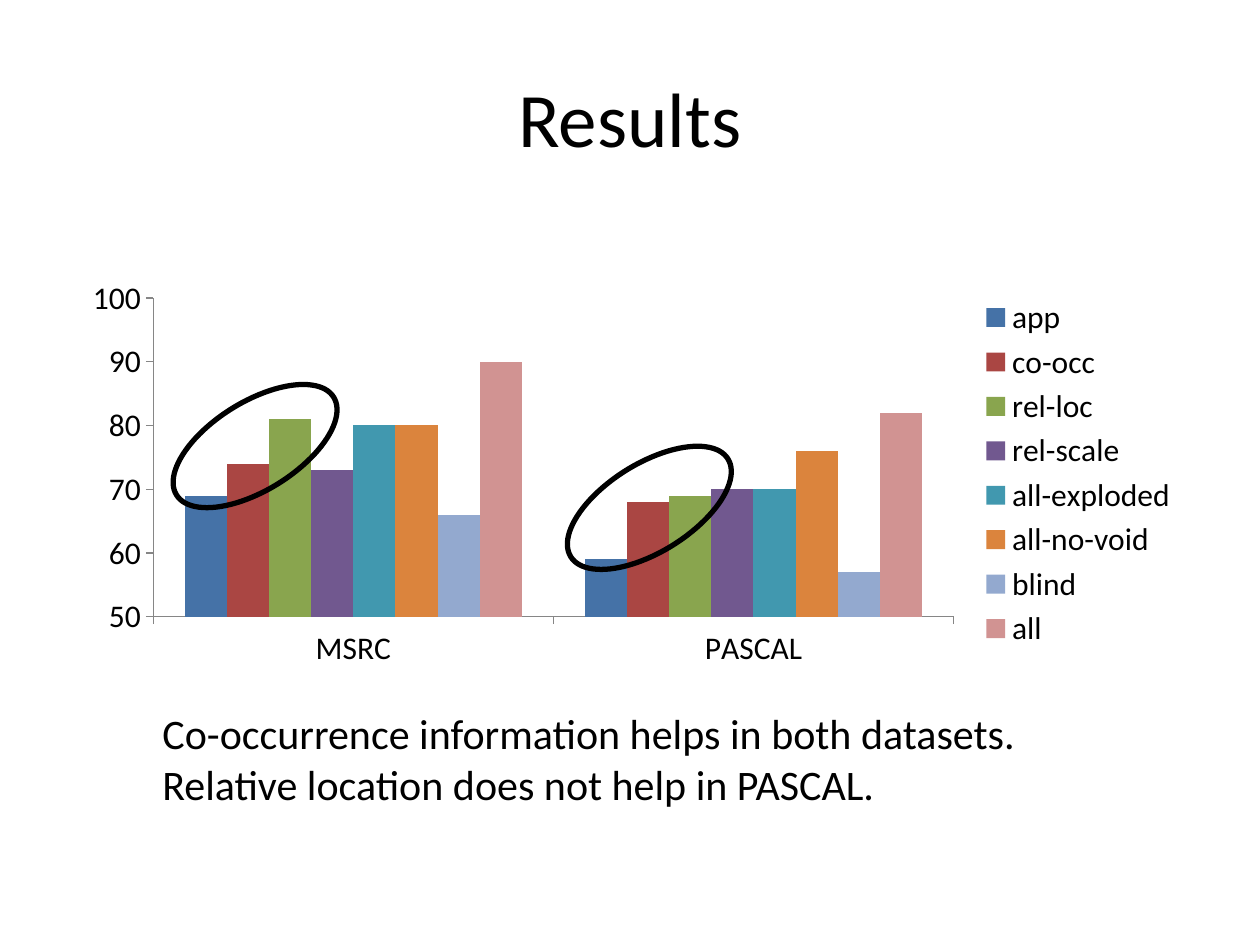
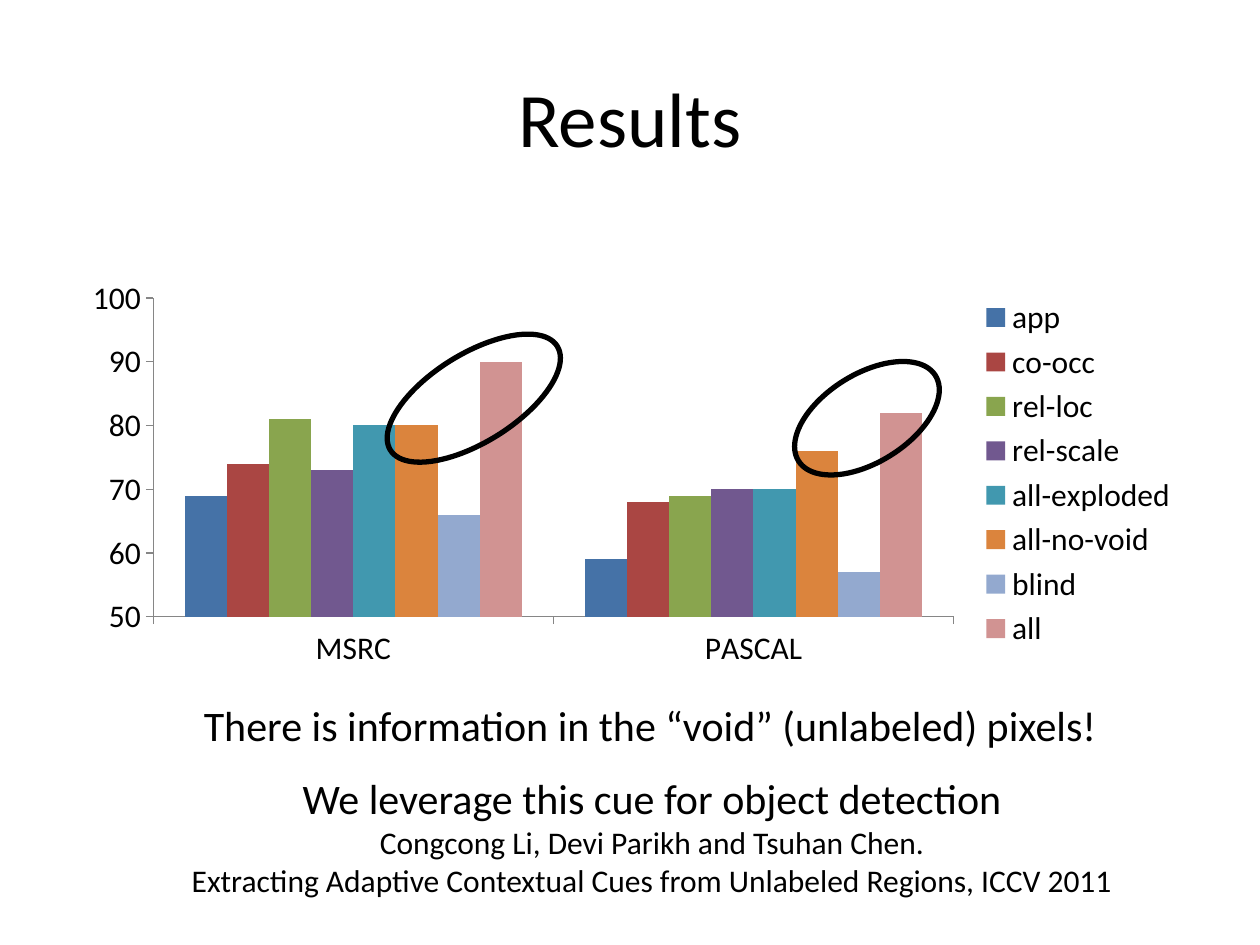
from dataclasses import dataclass

from pptx import Presentation
from pptx import util as u
from pptx.chart import data as chart_data
from pptx.dml import color
from pptx.enum import chart as charts, shapes, text


@dataclass(frozen=True)
class Theme:
    font: str = "Calibri"
    ink: str = "000000"
    grid: str = "FFFFFF"
    axis: str = "868686"
    title_size: float = 44
    body_size: float = 24
    small_size: float = 18
    ring_width: float = 3
    axis_width: float = 0.75


@dataclass(frozen=True)
class Box:
    left: float
    top: float
    width: float
    height: float

    def lengths(self) -> tuple:
        return tuple(u.Pt(n) for n in (self.left, self.top, self.width, self.height))


@dataclass(frozen=True)
class Method:
    name: str
    scores: tuple
    fill: str


@dataclass(frozen=True)
class Line:
    words: str
    size: float


@dataclass(frozen=True)
class Remark:
    box: Box
    lines: tuple
    align: text.PP_ALIGN


@dataclass(frozen=True)
class Page:
    rings: tuple
    remarks: tuple


THEME = Theme()
TITLE_BOX = Box(36, 21.6, 648, 90)
CHART_BOX = Box(40.3, 154.8, 640.1, 231.1)
RING_HEIGHT = 50.4
RING_TILT = 328.1
DATASETS = ("MSRC", "PASCAL")
METHODS = (
    Method("app", (69, 59), "4572A7"),
    Method("co-occ", (74, 68), "AA4643"),
    Method("rel-loc", (81, 69), "89A54E"),
    Method("rel-scale", (73, 70), "71588F"),
    Method("all-exploded", (80, 70), "4198AF"),
    Method("all-no-void", (80, 76), "DB843D"),
    Method("blind", (66, 57), "93A9CF"),
    Method("all", (90, 82), "D19392"),
)
PAGES = (
    Page(
        rings=(Box(92.9, 229.7, 105.8, RING_HEIGHT), Box(318.2, 265, 105.8, RING_HEIGHT)),
        remarks=(
            Remark(
                Box(85.7, 401, 596.2, 65.5),
                (
                    Line("Co-occurrence information helps in both datasets.", THEME.body_size),
                    Line("Relative location does not help in PASCAL.", THEME.body_size),
                ),
                text.PP_ALIGN.LEFT,
            ),
        ),
    ),
    Page(
        rings=(Box(214.6, 202.3, 112.3, RING_HEIGHT), Box(449.3, 213.8, 92.2, RING_HEIGHT)),
        remarks=(
            Remark(
                Box(61.2, 396, 620.6, 36),
                (Line("There is information in the “void” (unlabeled) pixels!", THEME.body_size),),
                text.PP_ALIGN.CENTER,
            ),
            Remark(
                Box(61.2, 437.8, 622.8, 79.9),
                (
                    Line("We leverage this cue for object detection", THEME.body_size),
                    Line("Congcong Li, Devi Parikh and Tsuhan Chen.", THEME.small_size),
                    Line(
                        "Extracting Adaptive Contextual Cues from Unlabeled Regions, ICCV 2011",
                        THEME.small_size,
                    ),
                ),
                text.PP_ALIGN.CENTER,
            ),
        ),
    ),
)


def assign(target, values: dict) -> None:
    for key, value in values.items():
        setattr(target, key, value)


def style_font(font, size: float) -> None:
    assign(font, {"name": THEME.font, "size": u.Pt(size), "bold": False})
    font.color.rgb = color.RGBColor.from_string(THEME.ink)


def style_line(line, rgb: str, width: float) -> None:
    line.color.rgb = color.RGBColor.from_string(rgb)
    line.width = u.Pt(width)


def write_title(slide, words: str) -> None:
    title = slide.shapes.title
    assign(title, dict(zip(("left", "top", "width", "height"), TITLE_BOX.lengths())))
    title.text_frame.text = words
    title.text_frame.vertical_anchor = text.MSO_ANCHOR.MIDDLE
    heading = title.text_frame.paragraphs[0]
    heading.alignment = text.PP_ALIGN.CENTER
    style_font(heading.font, THEME.title_size)


def draw_scores(slide) -> None:
    scores = chart_data.CategoryChartData()
    scores.categories = DATASETS
    for method in METHODS:
        scores.add_series(method.name, method.scores)
    chart = slide.shapes.add_chart(
        charts.XL_CHART_TYPE.COLUMN_CLUSTERED, *CHART_BOX.lengths(), scores
    ).chart
    style_font(chart.font, THEME.small_size)
    assign(chart, {"has_title": False, "has_legend": True})
    assign(
        chart.legend,
        {"position": charts.XL_LEGEND_POSITION.RIGHT, "include_in_layout": False},
    )
    style_font(chart.legend.font, THEME.small_size)
    assign(chart.plots[0], {"gap_width": 150, "overlap": 0, "vary_by_categories": False})
    for method, series in zip(METHODS, chart.plots[0].series):
        series.format.fill.solid()
        series.format.fill.fore_color.rgb = color.RGBColor.from_string(method.fill)
    for axis in (chart.category_axis, chart.value_axis):
        axis.major_tick_mark = charts.XL_TICK_MARK.OUTSIDE
        style_font(axis.tick_labels.font, THEME.small_size)
        style_line(axis.format.line, THEME.axis, THEME.axis_width)
    assign(
        chart.value_axis,
        {
            "minimum_scale": 50,
            "maximum_scale": 100,
            "major_unit": 10,
            "has_major_gridlines": True,
        },
    )
    style_line(chart.value_axis.major_gridlines.format.line, THEME.grid, THEME.axis_width)


def draw_ring(slide, box: Box) -> None:
    ring = slide.shapes.add_shape(shapes.MSO_SHAPE.OVAL, *box.lengths())
    ring.rotation = RING_TILT
    ring.shadow.inherit = False
    ring.fill.background()
    style_line(ring.line, THEME.ink, THEME.ring_width)


def write_remark(slide, remark: Remark) -> None:
    frame = slide.shapes.add_textbox(*remark.box.lengths()).text_frame
    assign(frame, {"word_wrap": True, "auto_size": text.MSO_AUTO_SIZE.SHAPE_TO_FIT_TEXT})
    frame.text = "\n".join(line.words for line in remark.lines)
    for paragraph, line in zip(frame.paragraphs, remark.lines):
        paragraph.alignment = remark.align
        style_font(paragraph.font, line.size)


def main() -> None:
    deck = Presentation()
    assign(deck, {"slide_width": u.Pt(720), "slide_height": u.Pt(540)})
    title_only = deck.slide_layouts.get_by_name("Title Only")
    for page in PAGES:
        slide = deck.slides.add_slide(title_only)
        write_title(slide, "Results")
        draw_scores(slide)
        for ring in page.rings:
            draw_ring(slide, ring)
        for remark in page.remarks:
            write_remark(slide, remark)
    deck.save("out.pptx")


if __name__ == "__main__":
    main()
